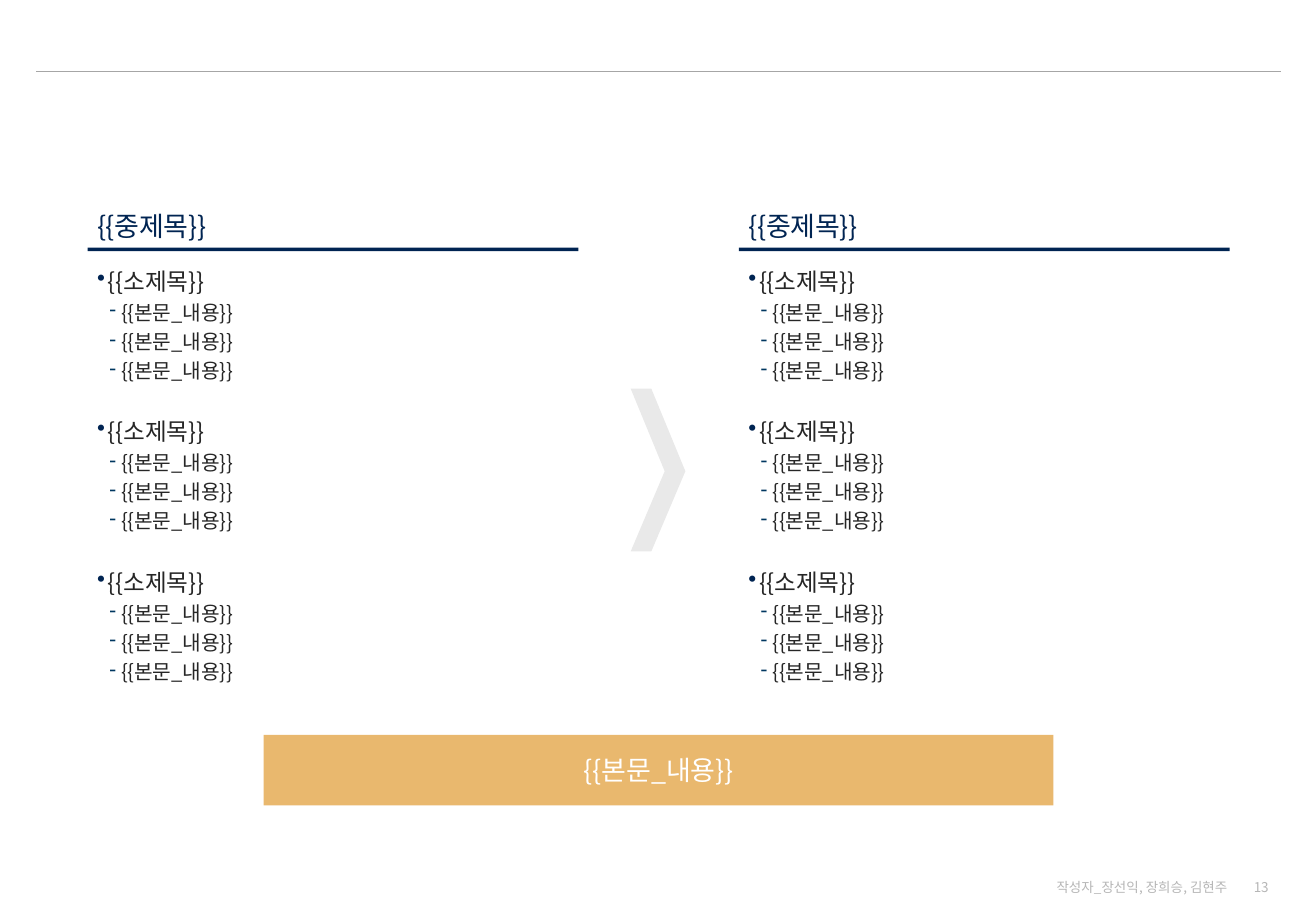
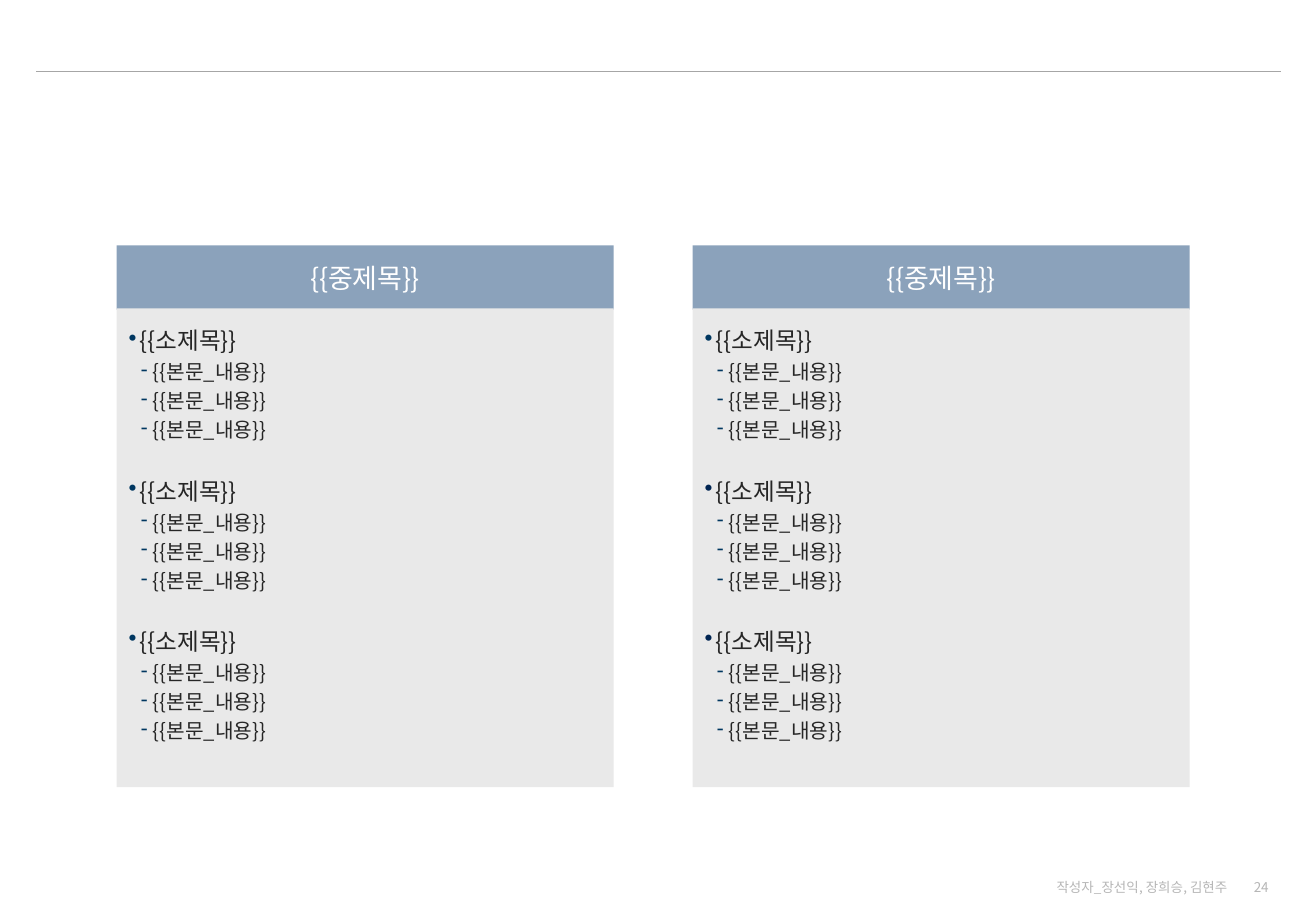
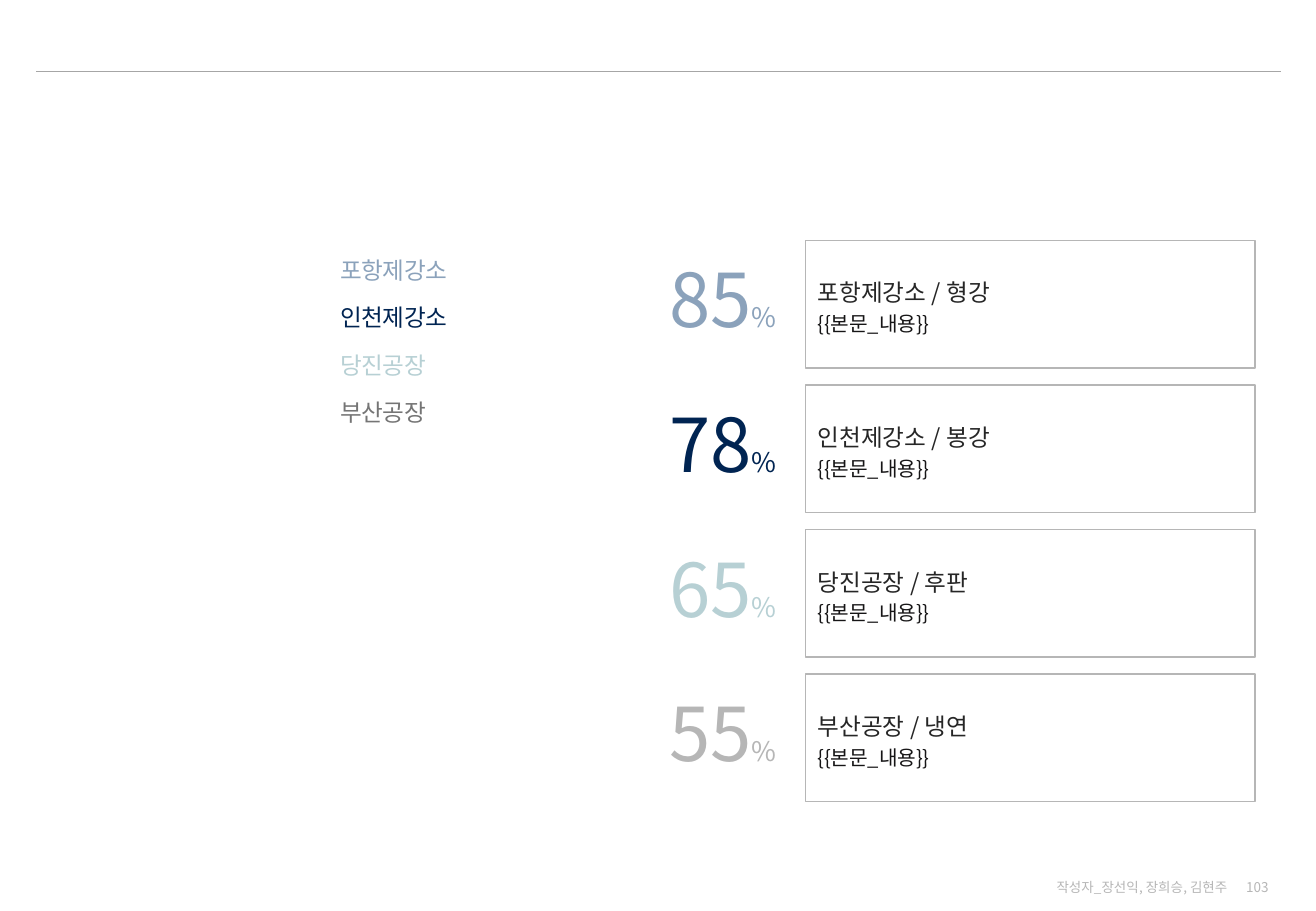
from dataclasses import dataclass

from lxml import etree
from pptx import Presentation
from pptx.dml.color import RGBColor
from pptx.enum.shapes import MSO_CONNECTOR, MSO_SHAPE
from pptx.enum.text import MSO_ANCHOR, PP_ALIGN
from pptx.oxml.ns import qn
from pptx.util import Inches, Pt

RECTANGLE = MSO_SHAPE.RECTANGLE
STRAIGHT = MSO_CONNECTOR.STRAIGHT
TOP, MIDDLE, BOTTOM = MSO_ANCHOR.TOP, MSO_ANCHOR.MIDDLE, MSO_ANCHOR.BOTTOM
CENTER, RIGHT = PP_ALIGN.CENTER, PP_ALIGN.RIGHT


@dataclass(frozen=True)
class Theme:
    font: str = "Noto Sans CJK KR"
    white: str = "FFFFFF"
    navy: str = "002452"
    deep_blue: str = "003760"
    steel: str = "8BA2BB"
    mint: str = "B7D0D4"
    gold: str = "E9B86E"
    panel: str = "E9E9E9"
    silver: str = "B6B6B6"
    rule: str = "A6A6A6"
    gray: str = "757575"
    text: str = "262626"
    ink: str = "161516"
    figure_size: float = 44
    heading_size: float = 16
    subheading_size: float = 14
    body_size: float = 12
    footer_size: float = 8
    line_spacing: float = 1.2
    group_gap: float = 17.2
    tight: int = -20  # letter spacing, hundredths of a point


theme = Theme()
HEADING, SUBHEADING, BODY = "{{중제목}}", "{{소제목}}", "{{본문_내용}}"


def add_box(page, at, fill=None, line=None, anchor=TOP, top=0.05, bottom=0.05):
    """Add a rectangle, or a text box when there is no fill."""
    place = [Inches(value) for value in at]
    if fill:
        box = page.shapes.add_shape(RECTANGLE, *place)
        box.shadow.inherit = False
        box.fill.solid()
        box.fill.fore_color.rgb = RGBColor.from_string(fill)
        if line:
            box.line.color.rgb = RGBColor.from_string(line)
            box.line.width = Pt(1)
        else:
            box.line.fill.background()
    else:
        box = page.shapes.add_textbox(*place)
    frame = box.text_frame
    frame.word_wrap = True
    frame.vertical_anchor = anchor
    frame.margin_left = frame.margin_right = Inches(0.1)
    frame.margin_top, frame.margin_bottom = Inches(top), Inches(bottom)
    frame.paragraphs[0].alignment = PP_ALIGN.LEFT
    return box


def add_span(para, text, size, color, spacing=0):
    span = para.add_run()
    span.text = text
    span.font.size = Pt(size)
    span.font.name = theme.font
    span.font.color.rgb = RGBColor.from_string(color)
    properties = span.font._element
    etree.SubElement(properties, qn("a:ea")).set("typeface", theme.font)
    if spacing:
        properties.set("spc", str(spacing))


deck = Presentation()
deck.slide_width, deck.slide_height = Inches(10.83), Inches(7.5)

# Shared rule and footer
pages = []
for number in (13, 24, 103):
    page = deck.slides.add_slide(deck.slide_layouts[6])
    pages.append(page)
    rule = page.shapes.add_connector(
        STRAIGHT, Inches(0.3), Inches(0.59), Inches(10.54), Inches(0.59))
    rule.line.color.rgb = RGBColor.from_string(theme.rule)
    rule.line.width = Pt(0.75)
    etree.SubElement(rule._element.spPr, qn("a:effectLst"))
    for left, width, text in ((10.13, 0.41, str(number)),
                              (8.52, 1.68, "작성자_장선익, 장희승, 김현주")):
        footer = add_box(page, (left, 7.22, width, 0.16), anchor=MIDDLE)
        para = footer.text_frame.paragraphs[0]
        para.alignment = RIGHT
        add_span(para, text, theme.footer_size, theme.silver)

change_page, compare_page, plant_page = pages
outlines = []  # text frame, bullet colour of each group, letter spacing

# Two columns joined by a chevron
for left in (0.7, 6.06):
    outline = add_box(change_page, (left, 2.11, 4.08, 3.51), top=0.04)
    outlines.append((outline.text_frame, [theme.navy] * 3, theme.tight))

    heading = add_box(change_page, (left, 1.67, 4.08, 0.37), theme.white, anchor=BOTTOM)
    add_span(heading.text_frame.paragraphs[0], HEADING,
             theme.heading_size, theme.navy, theme.tight)
    effects = heading._element.spPr.find(qn("a:effectLst"))
    underline = etree.SubElement(
        effects, qn("a:outerShdw"), blurRad="0", dist=str(Pt(2)), dir="5400000",
        sx="99000", sy="100000", algn="t", rotWithShape="0")
    etree.SubElement(underline, qn("a:srgbClr")).set("val", theme.navy)

banner = add_box(change_page, (2.17, 6.05, 6.5, 0.58), theme.gold, anchor=MIDDLE)
para = banner.text_frame.paragraphs[0]
para.alignment = CENTER
add_span(para, BODY, theme.heading_size, theme.white, theme.tight)

builder = change_page.shapes.build_freeform(Inches(5.19), Inches(3.2))
builder.add_line_segments(
    [(Inches(x), Inches(y)) for x, y in
     ((5.36, 3.2), (5.64, 3.88), (5.36, 4.54), (5.19, 4.54), (5.47, 3.88))])
chevron = builder.convert_to_shape()
chevron.shadow.inherit = False
chevron.fill.solid()
chevron.fill.fore_color.rgb = RGBColor.from_string(theme.panel)
chevron.line.fill.background()

# Two panels side by side
for left, later_bullet in ((0.96, theme.deep_blue), (5.7, theme.navy)):
    heading = add_box(compare_page, (left, 2.02, 4.09, 0.53), theme.steel,
                      anchor=MIDDLE, top=0.1, bottom=0.1)
    para = heading.text_frame.paragraphs[0]
    para.alignment = CENTER
    add_span(para, HEADING, theme.heading_size, theme.white, theme.tight)
    panel = add_box(compare_page, (left, 2.54, 4.09, 3.94), theme.panel,
                    top=0.1, bottom=0.1)
    outlines.append(
        (panel.text_frame, [theme.deep_blue, later_bullet, later_bullet], 0))

# Bulleted outlines of both pages
for frame, group_bullets, spacing in outlines:
    for group, group_bullet in enumerate(group_bullets):
        subheading = (1, SUBHEADING, theme.subheading_size, "•", group_bullet, 0.09, -0.09)
        body = (2, BODY, theme.body_size, "‐", theme.deep_blue, 0.2, -0.1)
        for row, item in enumerate([subheading] + [body] * 3):
            level, text, size, mark, mark_color, margin, indent = item
            first = group == 0 and row == 0
            para = frame.paragraphs[0] if first else frame.add_paragraph()
            para.alignment = PP_ALIGN.LEFT
            para.level = level
            para.line_spacing = theme.line_spacing
            if group and row == 0:
                para.space_before = Pt(theme.group_gap)
            properties = para._p.get_or_add_pPr()
            properties.set("marL", str(Inches(margin)))
            properties.set("indent", str(Inches(indent)))
            bullet_color = etree.SubElement(properties, qn("a:buClr"))
            etree.SubElement(bullet_color, qn("a:srgbClr")).set("val", mark_color)
            etree.SubElement(properties, qn("a:buChar")).set("char", mark)
            add_span(para, text, size, theme.text, spacing)

# Plants: legend, rate and description
plants = (
    ("포항제강소", "형강", "85", theme.steel, theme.steel),
    ("인천제강소", "봉강", "78", theme.navy, theme.navy),
    ("당진공장", "후판", "65", theme.mint, theme.mint),
    ("부산공장", "냉연", "55", theme.silver, theme.gray),
)
for row, (plant, product, rate, rate_color, legend_color) in enumerate(plants):
    offset = 1.19 * row
    figure = add_box(plant_page, (5.27, 2.04 + offset, 1.36, 0.83))
    para = figure.text_frame.paragraphs[0]
    para.alignment = CENTER
    add_span(para, rate, theme.figure_size, rate_color)
    add_span(para, "%", theme.heading_size, rate_color)

    legend = add_box(plant_page, (2.7, 2.01 + 0.39 * row, 1.61, 0.38))
    para = legend.text_frame.paragraphs[0]
    para.line_spacing = theme.line_spacing
    add_span(para, plant, theme.subheading_size, legend_color, theme.tight)

    card = add_box(plant_page, (6.63, 1.98 + offset, 3.7, 1.05),
                   theme.white, theme.silver, MIDDLE)
    title = card.text_frame.paragraphs[0]
    detail = card.text_frame.add_paragraph()
    detail.alignment = PP_ALIGN.LEFT
    title.line_spacing = detail.line_spacing = theme.line_spacing
    add_span(title, f"{plant} / {product}", theme.subheading_size, theme.text)
    add_span(detail, BODY, theme.body_size, theme.ink, theme.tight)

deck.save("out.pptx")
